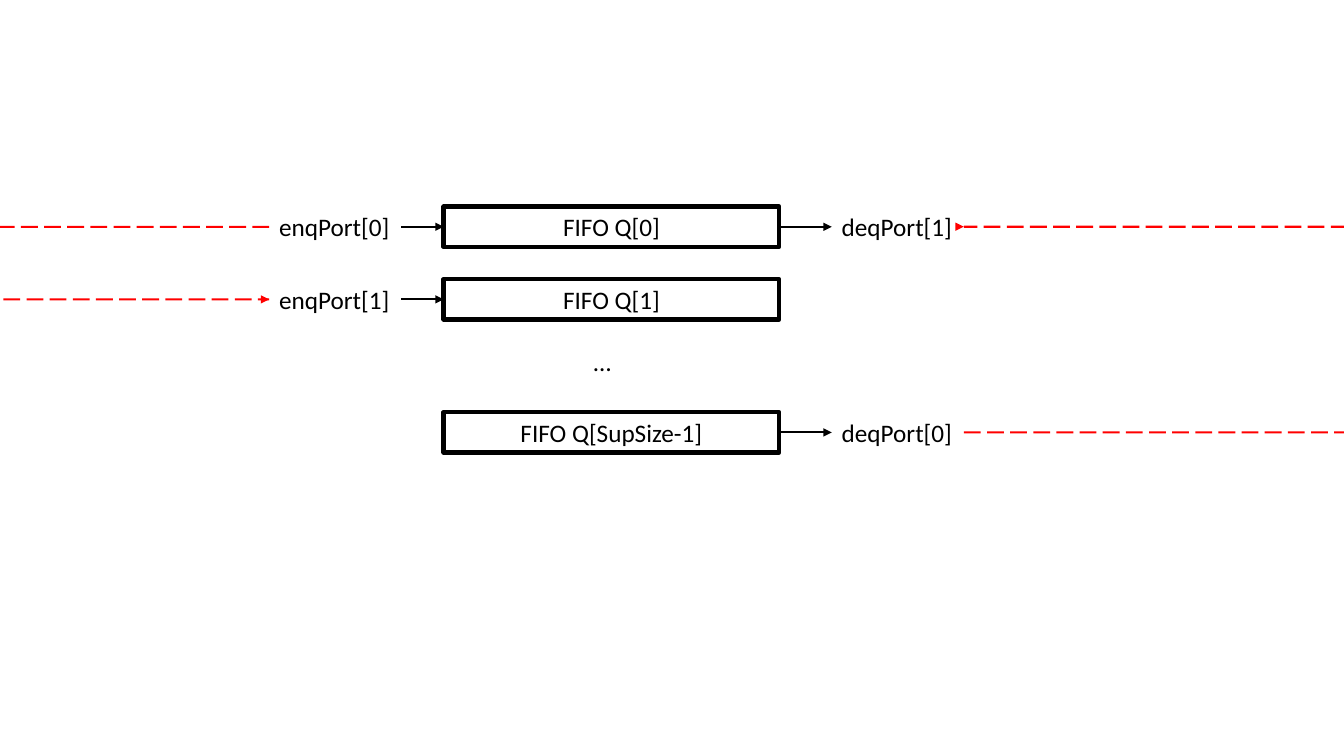
from lxml.etree import SubElement
from pptx import Presentation
from pptx.dml.color import RGBColor
from pptx.enum.dml import MSO_LINE
from pptx.enum.shapes import MSO_CONNECTOR, MSO_SHAPE
from pptx.enum.text import MSO_ANCHOR, MSO_AUTO_SIZE, PP_ALIGN
from pptx.oxml.ns import qn
from pptx.util import Emu, Inches, Pt

THEME = {
    "ink": RGBColor(0, 0, 0),
    "link": RGBColor(255, 0, 0),
    "font": "Calibri",
    "size": Pt(18),
    "thin": Pt(1.5),
    "thick": Pt(3),
}
WIDE, HIGH = 13.33, 7.5
ROW = 0.4
ROWS = [
    (2.05, "FIFO Q[0]", "enqPort[0]", "deqPort[1]"),
    (2.77, "FIFO Q[1]", "enqPort[1]", None),
    (4.09, "FIFO Q[SupSize-1]", None, "deqPort[0]"),
]


def apply(item, **values):
    """Set each named format value on the item."""
    for name, value in values.items():
        setattr(item, name, value)


def write(shape, text, align=PP_ALIGN.LEFT, wrap=False):
    """Put one line of themed text in the shape."""
    frame = shape.text_frame
    frame.text = text
    apply(frame, word_wrap=wrap, auto_size=MSO_AUTO_SIZE.SHAPE_TO_FIT_TEXT,
          vertical_anchor=MSO_ANCHOR.TOP)
    line = frame.paragraphs[0]
    line.alignment = align
    font = line.runs[0].font
    apply(font, name=THEME["font"], size=THEME["size"])
    font.color.rgb = THEME["ink"]


def label(slide, box, text):
    """Add a plain label in the box."""
    write(slide.shapes.add_textbox(*map(Inches, box)), text)


def queue(slide, box, text):
    """Add an outlined queue in the box."""
    shape = slide.shapes.add_shape(MSO_SHAPE.RECTANGLE, *map(Inches, box))
    shape.shadow.inherit = False
    shape.fill.background()
    shape.line.color.rgb = THEME["ink"]
    shape.line.width = THEME["thick"]
    write(shape, text, PP_ALIGN.CENTER, True)


def arrow(slide, kind, ends, color, dash=None):
    """Add a themed connector with an arrowhead at its end."""
    link = slide.shapes.add_connector(kind, *ends)
    link.line.color.rgb = THEME[color]
    apply(link.line, width=THEME["thin"], dash_style=dash)
    SubElement(link.line._get_or_add_ln(), qn("a:tailEnd"), type="triangle")
    SubElement(link._element.spPr, qn("a:effectLst"))
    return link


def wire(slide, start, end, y):
    """Draw a level arrow."""
    arrow(slide, MSO_CONNECTOR.STRAIGHT, map(Inches, (start, y, end, y)), "ink")


def loop(slide, box, bend, **turn):
    """Draw a dashed curve down the box, bent sideways by a ratio and turned."""
    left, top, height = map(Inches, box)
    ends = left, top, left + Emu(1), top + height
    link = arrow(slide, MSO_CONNECTOR.CURVE, ends, "link", MSO_LINE.LONG_DASH)
    area = link._element.spPr
    for name, value in turn.items():
        area.find(qn("a:xfrm")).set(name, value)
    guides = area.find(qn("a:prstGeom")).find(qn("a:avLst"))
    SubElement(guides, qn("a:gd"), name="adj1", fmla=f"val {bend * 100000}")


def lane(slide, box, name, enq, deq):
    """Place a queue with its ports in the box."""
    left, top, width, height = box
    mid, right = top + height / 2, left + width
    queue(slide, box, name)
    if enq:
        label(slide, (left - 1.73, top, 1.31, height), enq)
        wire(slide, left - 0.42, left, mid)
    if deq:
        label(slide, (right + 0.52, top, 1.31, height), deq)
        wire(slide, right, right + 0.52, mid)


def build():
    """Build and save the slide."""
    deck = Presentation()
    apply(deck, slide_width=Inches(WIDE), slide_height=Inches(HIGH))
    slide = deck.slides.add_slide(deck.slide_layouts[6])
    for top, *names in ROWS:
        lane(slide, (4.4, top, 3.33, ROW), *names)
    label(slide, (5.79, 3.39, 0.38, ROW), "…")
    first, second, last = (row[0] + ROW / 2 for row in ROWS)
    loop(slide, (2.67, first, second - first), 228601, rot="10800000", flipV="1")
    loop(slide, (9.56, first, last - first), -228600, flipH="1", flipV="1")
    deck.save("out.pptx")


build()
